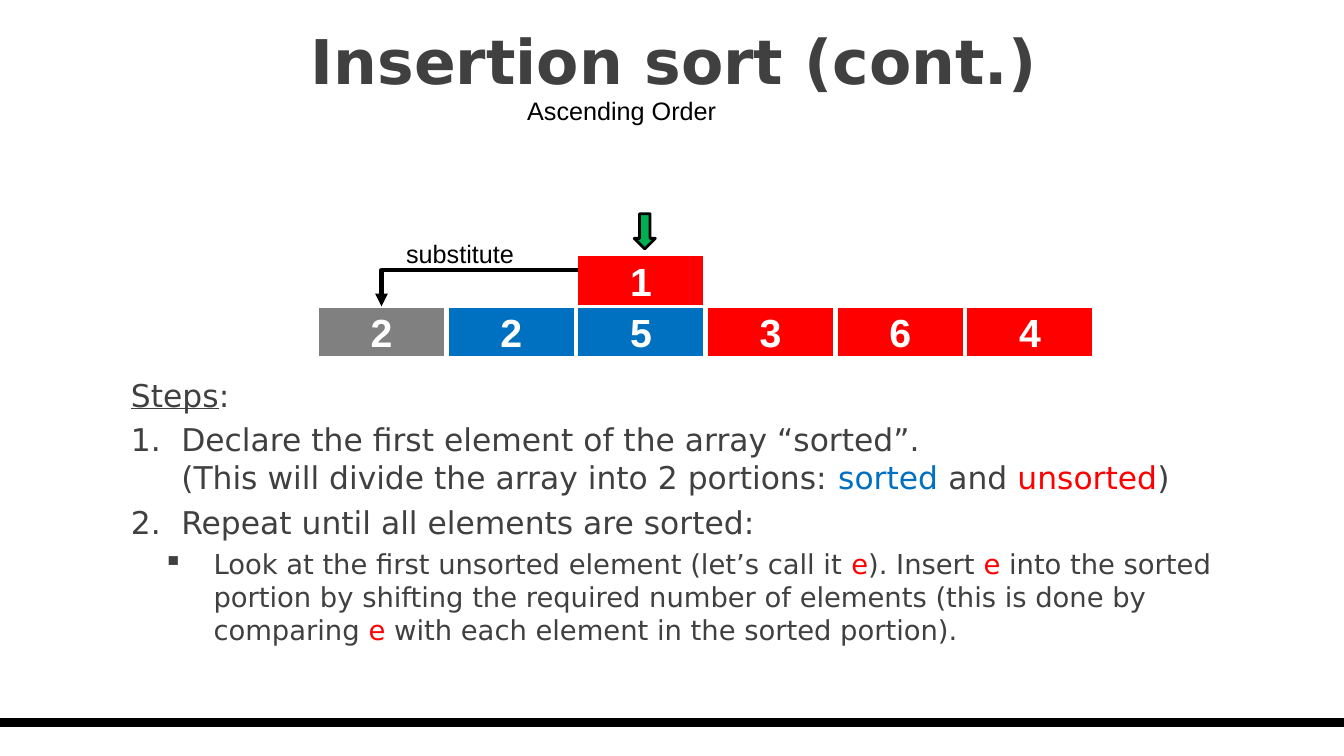
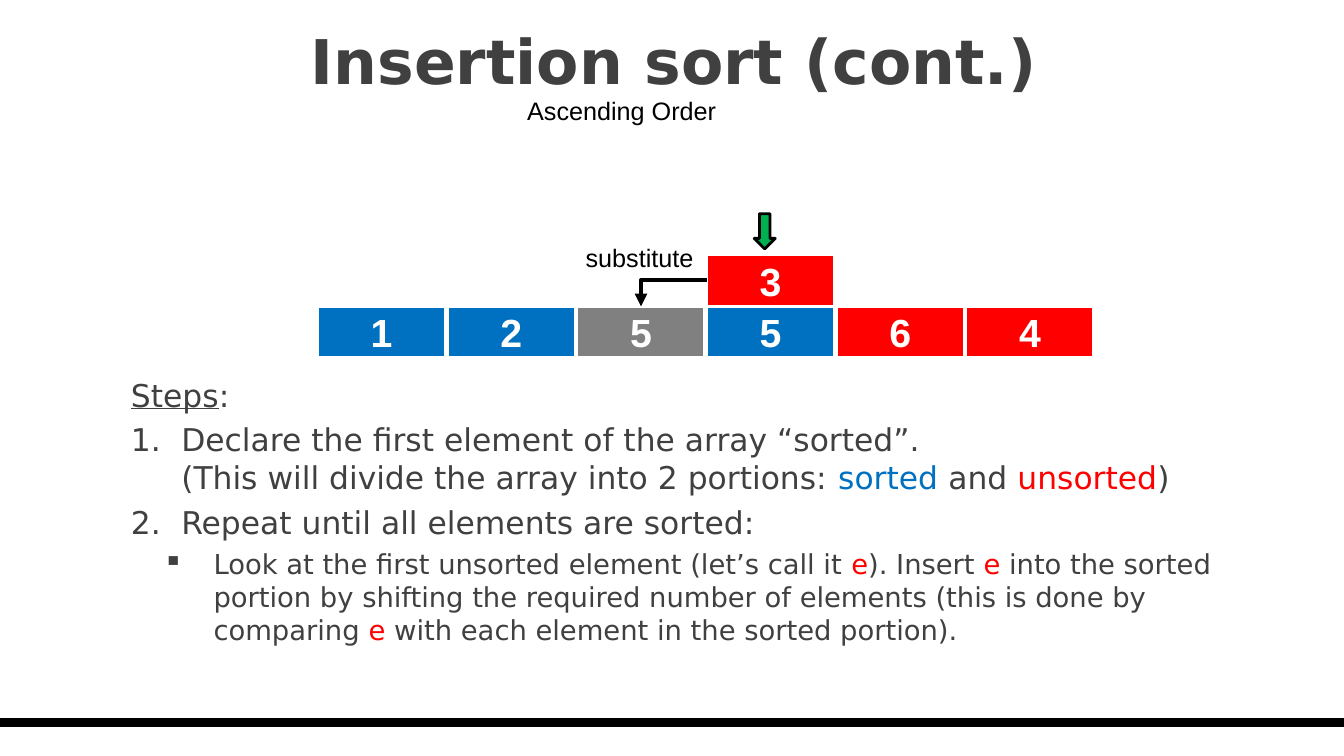
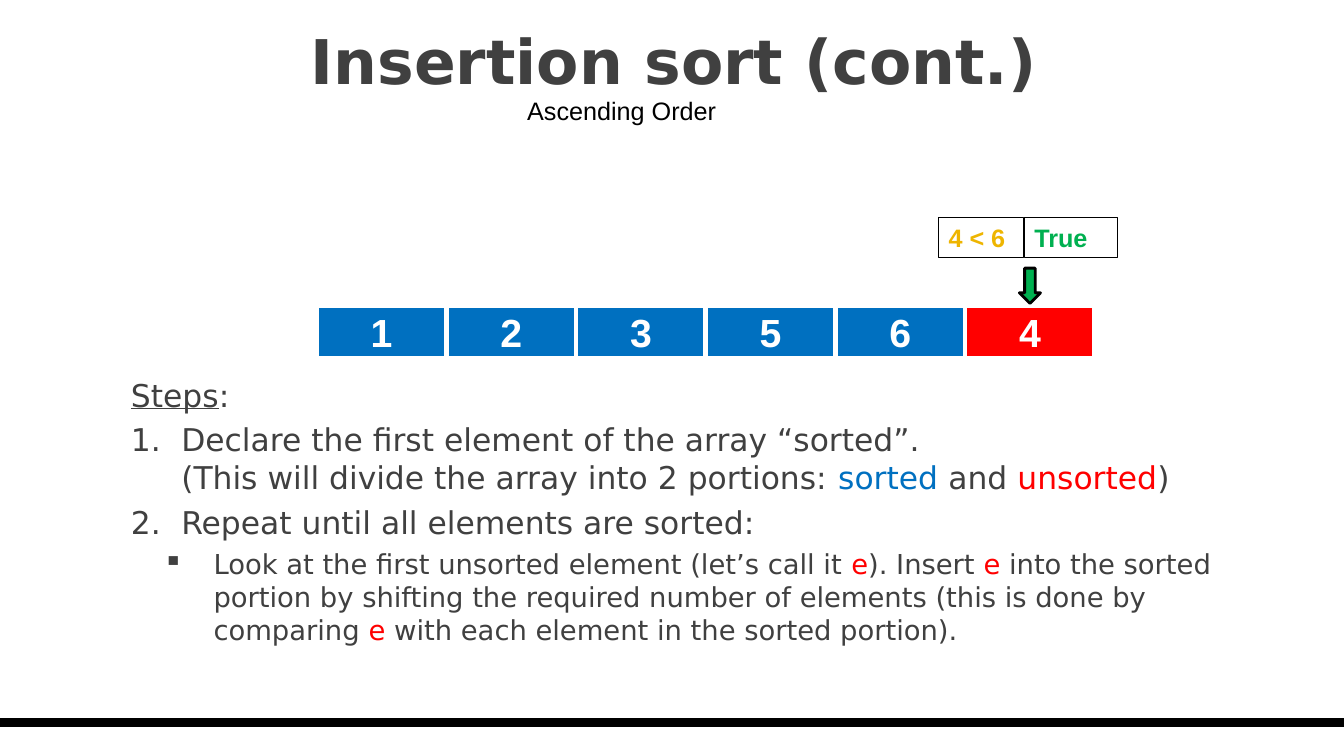
from lxml import etree
from pptx import Presentation
from pptx.dml.color import RGBColor
from pptx.enum.shapes import MSO_CONNECTOR, MSO_SHAPE
from pptx.enum.text import MSO_ANCHOR, PP_ALIGN
from pptx.oxml.ns import qn
from pptx.util import Inches, Pt

STRAIGHT, ELBOW = MSO_CONNECTOR.STRAIGHT, MSO_CONNECTOR.ELBOW
RECTANGLE, DOWN_ARROW = MSO_SHAPE.RECTANGLE, MSO_SHAPE.DOWN_ARROW
MIDDLE, CENTER, LEFT = MSO_ANCHOR.MIDDLE, PP_ALIGN.CENTER, PP_ALIGN.LEFT

BLACK = RGBColor(0x00, 0x00, 0x00)
WHITE = RGBColor(0xFF, 0xFF, 0xFF)
DARK = RGBColor(0x40, 0x40, 0x40)
BLUE = RGBColor(0x00, 0x70, 0xC0)
RED = RGBColor(0xFF, 0x00, 0x00)
GRAY = RGBColor(0x80, 0x80, 0x80)
GREEN = RGBColor(0x00, 0xB0, 0x50)
GOLD = RGBColor(0xEE, 0xB5, 0x00)
HEADING_FONT, DIAGRAM_FONT = "DejaVu Sans", "Arial"

# Content
TITLE = "Insertion sort (cont.)"
SUBTITLE = "Ascending Order"
BREAK = "\n"
# Each step: size, left margin, bullet tag, bullet attributes, coloured runs
NUMBER = ("a:buAutoNum", {"type": "arabicPeriod"})
SQUARE = ("a:buChar", {"char": "▪"})
STEPS = [
    (22.4, 0, None, [("Steps", DARK), (":", DARK)]),
    (22.4, 0.5, NUMBER, [
        ("Declare the first element of the array “sorted”.", DARK),
        (BREAK, DARK),
        ("(This will divide the array into 2 portions: ", DARK),
        ("sorted", BLUE), (" and ", DARK), ("unsorted", RED), (")", DARK)]),
    (22.4, 0.5, NUMBER, [("Repeat until all elements are sorted:", DARK)]),
    (19.6, 0.82, SQUARE, [
        ("Look at the first unsorted element (let’s call it ", DARK),
        ("e", RED), ("). Insert ", DARK), ("e ", RED),
        ("into the sorted portion by shifting the required number of "
         "elements (this is done by comparing ", DARK),
        ("e", RED), (" with each element in the sorted portion).", DARK)]),
]
# Places: pointer and label are (left, top); lifted is (column, value);
# elbow is (start x, start y, target column)
STAGES = [
    {"values": "225364", "fills": [GRAY, BLUE, BLUE, RED, RED, RED],
     "pointer": (6.29, 2.12), "lifted": (2, "1"),
     "elbow": (5.73, 2.68, 0), "label": (3.93, 2.32)},
    {"values": "125564", "fills": [BLUE, BLUE, GRAY, BLUE, RED, RED],
     "pointer": (7.48, 2.12), "lifted": (3, "3"),
     "elbow": (7.01, 2.78, 2), "label": (5.71, 2.35)},
    {"values": "123564", "fills": [BLUE] * 5 + [RED],
     "pointer": (10.11, 2.66),
     "comparison": [("4 < 6", GOLD, 9.31, 0.84), ("True", GREEN, 10.16, 0.92)]},
]

# Array grid
CELL_W, CELL_H, ROW_TOP = 1.27, 0.51, 3.04
FIRST_LEFT, LAST_LEFT, COLUMNS = 3.15, 9.58, 6
PITCH = (LAST_LEFT - FIRST_LEFT) / (COLUMNS - 1)


def column_left(column):
    return FIRST_LEFT + column * PITCH


def style(font, size, color, name=DIAGRAM_FONT, bold=False):
    font.size, font.bold, font.name = Pt(size), bold, name
    font.color.rgb = color


def add_label(slide, text, left, top, width):
    box = slide.shapes.add_textbox(
        Inches(left), Inches(top), Inches(width), Inches(0.4))
    box.text_frame.word_wrap = True
    box.text_frame.text = text
    style(box.text_frame.paragraphs[0].runs[0].font, 18, BLACK)


def add_box(slide, preset, place, fill, line, weight):
    box = slide.shapes.add_shape(preset, *(Inches(v) for v in place))
    box.shadow.inherit = False
    if fill is None:
        box.fill.background()
    else:
        box.fill.solid()
        box.fill.fore_color.rgb = fill
    box.line.color.rgb, box.line.width = line, Pt(weight)
    return box


def write_in(box, text, size, color, align):
    frame = box.text_frame
    frame.text, frame.vertical_anchor = text, MIDDLE
    frame.paragraphs[0].alignment = align
    style(frame.paragraphs[0].runs[0].font, size, color, bold=True)


def add_cell(slide, value, column, top, fill):
    place = (column_left(column), top, CELL_W, CELL_H)
    cell = add_box(slide, RECTANGLE, place, fill, WHITE, 2)
    write_in(cell, value, 28, WHITE, CENTER)


def add_line(slide, kind, start, end, weight):
    line = slide.shapes.add_connector(
        kind, *(Inches(v) for v in (*start, *end)))
    line.line.color.rgb, line.line.width = BLACK, Pt(weight)
    etree.SubElement(line._element.spPr, qn("a:effectLst"))
    return line


def add_elbow(slide, left, top, column):
    target = (column_left(column) + CELL_W / 2, ROW_TOP)
    elbow = add_line(slide, ELBOW, (left, top), target, 3)
    # One bend, with an arrowhead at the target
    properties = elbow._element.spPr
    properties.find(qn("a:prstGeom")).set("prst", "bentConnector2")
    etree.SubElement(properties.find(qn("a:ln")), qn("a:tailEnd"),
                     type="triangle")


def add_steps(slide):
    box = slide.shapes.add_textbox(
        Inches(1.2), Inches(3.68), Inches(11), Inches(3.11))
    frame = box.text_frame
    frame.word_wrap = True
    for index, (size, margin, bullet, runs) in enumerate(STEPS):
        paragraph = frame.add_paragraph() if index else frame.paragraphs[0]
        paragraph.space_before = Pt(5)
        for text, color in runs:
            if text == BREAK:
                paragraph.add_line_break()
                continue
            run = paragraph.add_run()
            run.text = text
            style(run.font, size, color, HEADING_FONT)
        if bullet:
            tag, attributes = bullet
            properties = paragraph._p.get_or_add_pPr()
            properties.set("marL", str(Inches(margin)))
            properties.set("indent", str(-Inches(0.5)))
            etree.SubElement(properties, qn(tag), attributes)
    frame.paragraphs[0].runs[0].font.underline = True


def add_frame(prs):
    """Add a slide with the shared title, subtitle, steps and bottom rule."""
    slide = prs.slides.add_slide(prs.slide_layouts[5])
    add_line(slide, STRAIGHT, (0, 7.17), (13.33, 7.17), 6)
    title = slide.shapes.title
    title.left, title.top = Inches(0.04), Inches(0.02)
    title.width, title.height = Inches(13.29), Inches(1.15)
    title.text_frame.text = TITLE
    title.text_frame.vertical_anchor = MIDDLE
    heading = title.text_frame.paragraphs[0]
    heading.alignment = CENTER
    style(heading.runs[0].font, 44, DARK, HEADING_FONT, True)
    add_label(slide, SUBTITLE, 5.13, 0.9, 2.34)
    add_steps(slide)
    return slide


def add_stage(slide, stage):
    for column, (value, fill) in enumerate(zip(stage["values"], stage["fills"])):
        add_cell(slide, value, column, ROW_TOP, fill)
    add_box(slide, DOWN_ARROW, (*stage["pointer"], 0.21, 0.35), GREEN, BLACK, 2)

    # Element taken out of the row and the place it moves to
    if "lifted" in stage:
        column, value = stage["lifted"]
        add_cell(slide, value, column, ROW_TOP - CELL_H, RED)
        add_elbow(slide, *stage["elbow"])
        add_label(slide, "substitute", *stage["label"], 1.67)

    # Comparison and its result
    for text, color, left, width in stage.get("comparison", []):
        box = add_box(slide, RECTANGLE, (left, 2.16, width, 0.4),
                      None, BLACK, 0.75)
        write_in(box, text, 18, color, LEFT)


def main():
    prs = Presentation()
    prs.slide_width, prs.slide_height = Inches(13.33), Inches(7.5)
    for stage in STAGES:
        add_stage(add_frame(prs), stage)
    prs.save("out.pptx")


if __name__ == "__main__":
    main()
